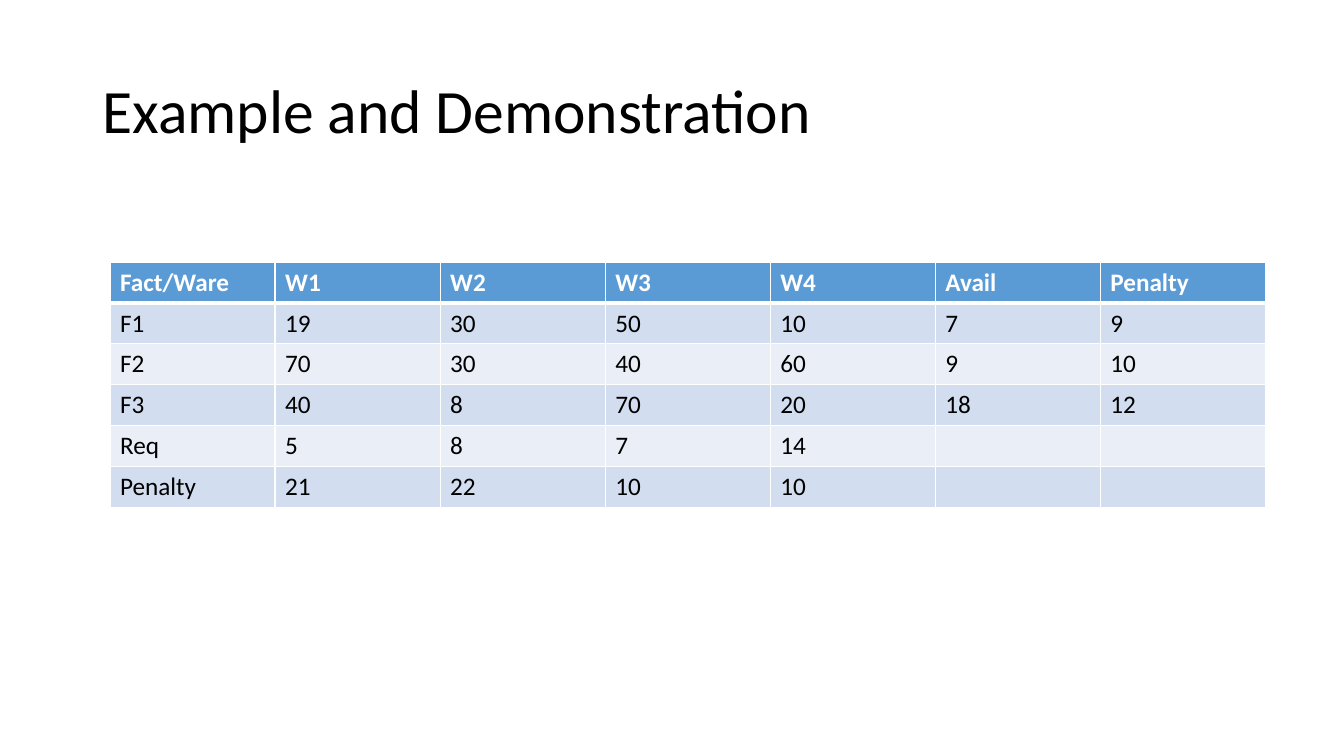
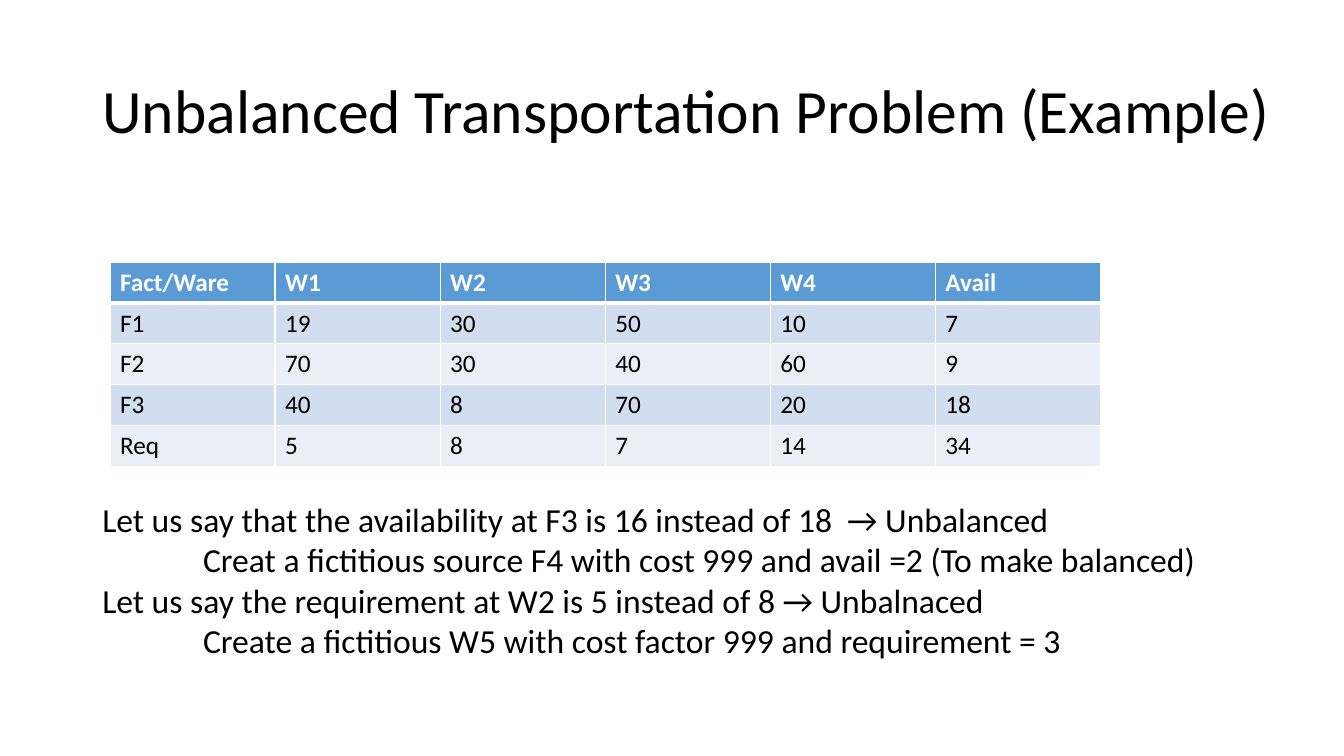
"""Build two slides on transportation problems, each with a cost table."""
from lxml import etree
from pptx import Presentation
from pptx import util as u
from pptx.dml.color import RGBColor
from pptx.enum import text
from pptx.oxml.ns import qn

COLORS = {
    "text": "000000",
    "white": "FFFFFF",
    "header": "5B9BD5",
    "odd": "D2DEEF",
    "even": "EAEFF7",
}
FONT = "Calibri"
GRID_COLUMNS, GRID_ROWS = 160, 90
UNIT = u.Inches(7.5) / GRID_ROWS
LEFT = 11
TABLE_LEFT, TABLE_TOP = 13.1, 31.2
CELL_WIDTH, CELL_HEIGHT = 19.65, 4.8

HEADINGS = ["Fact/Ware", "W1", "W2", "W3", "W4", "Avail"]
COSTS = [
    ["F1", "19", "30", "50", "10", "7"],
    ["F2", "70", "30", "40", "60", "9"],
    ["F3", "40", "8", "70", "20", "18"],
]
REQUIREMENT = ["Req", "5", "8", "7", "14"]
PENALTY_TABLE = [
    HEADINGS + ["Penalty"],
    *(row + [penalty] for row, penalty in zip(COSTS, ["9", "10", "12"])),
    REQUIREMENT + ["", ""],
    ["Penalty", "21", "22", "10", "10", "", ""],
]
BALANCE_TABLE = [HEADINGS, *COSTS, REQUIREMENT + ["34"]]
NOTES = [
    (0, "Let us say that the availability at F3 is 16 instead of 18  → Unbalanced"),
    (1, "Creat a fictitious source F4 with cost 999 and avail =2 (To make balanced)"),
    (0, "Let us say the requirement at W2 is 5 instead of 8 → Unbalnaced"),
    (1, "Create a fictitious W5 with cost factor 999 and requirement = 3"),
]


def grid(*lengths):
    """Turn grid units into whole EMU lengths."""
    return [u.Emu(round(length * UNIT)) for length in lengths]


def add_run(paragraph, words, size, color="text", bold=False):
    """Add one formatted run to a paragraph."""
    run = paragraph.add_run()
    run.text = words
    run.font.name = FONT
    run.font.size = u.Pt(size)
    run.font.bold = bold
    run.font.color.rgb = RGBColor.from_string(COLORS[color])


def add_titled_slide(presentation, title, width):
    """Add a title-only slide and format its title."""
    slide = presentation.slides.add_slide(presentation.slide_layouts[5])
    shape = slide.shapes.title
    shape.left, shape.top, shape.width, shape.height = grid(LEFT, 4.8, width, 17.4)
    frame = shape.text_frame
    frame.auto_size = text.MSO_AUTO_SIZE.NONE
    frame.vertical_anchor = text.MSO_ANCHOR.MIDDLE
    paragraph = frame.paragraphs[0]
    paragraph.alignment = text.PP_ALIGN.LEFT
    paragraph.line_spacing = 0.9
    add_run(paragraph, title, 44)
    return slide


def set_borders(cell, widths):
    """Draw white cell borders, given widths in points by side."""
    properties = cell._tc.get_or_add_tcPr()
    for side, width in widths.items():
        line = etree.SubElement(properties, qn(f"a:ln{side}"), w=str(u.Pt(width)))
        fill = etree.SubElement(line, qn("a:solidFill"))
        etree.SubElement(fill, qn("a:srgbClr"), val=COLORS["white"])


def add_cost_table(slide, rows):
    """Add a banded table with a header row."""
    count, columns = len(rows), len(rows[0])
    size = grid(TABLE_LEFT, TABLE_TOP, columns * CELL_WIDTH, count * CELL_HEIGHT)
    table = slide.shapes.add_table(count, columns, *size).table
    for column in table.columns:
        column.width, = grid(CELL_WIDTH)
    for index, values in enumerate(rows):
        table.rows[index].height, = grid(CELL_HEIGHT)
        header = index == 0
        band = "header" if header else "odd" if index % 2 else "even"
        borders = {"L": 1, "R": 1, "T": 3 if index == 1 else 1, "B": 3 if header else 1}
        for cell, value in zip(table.rows[index].cells, values):
            set_borders(cell, borders)
            cell.fill.solid()
            cell.fill.fore_color.rgb = RGBColor.from_string(COLORS[band])
            if value:
                add_run(cell.text_frame.paragraphs[0], value, 18,
                        "white" if header else "text", header)


def add_notes(slide, lines):
    """Add a text box whose lines are indented one inch per level."""
    frame = slide.shapes.add_textbox(*grid(LEFT, 58.8, 134.2, 20.6)).text_frame
    frame.word_wrap = True
    frame.auto_size = text.MSO_AUTO_SIZE.SHAPE_TO_FIT_TEXT
    for index, (level, words) in enumerate(lines):
        paragraph = frame.add_paragraph() if index else frame.paragraphs[0]
        paragraph._p.get_or_add_pPr().set("marL", str(u.Inches(level)))
        add_run(paragraph, words, 24)


def main():
    """Build and save the presentation."""
    presentation = Presentation()
    presentation.slide_width, presentation.slide_height = grid(GRID_COLUMNS, GRID_ROWS)
    slide = add_titled_slide(presentation, "Example and Demonstration", 138)
    add_cost_table(slide, PENALTY_TABLE)
    slide = add_titled_slide(
        presentation, "Unbalanced Transportation Problem (Example)", 143.4)
    add_cost_table(slide, BALANCE_TABLE)
    add_notes(slide, NOTES)
    presentation.save("out.pptx")


if __name__ == "__main__":
    main()
